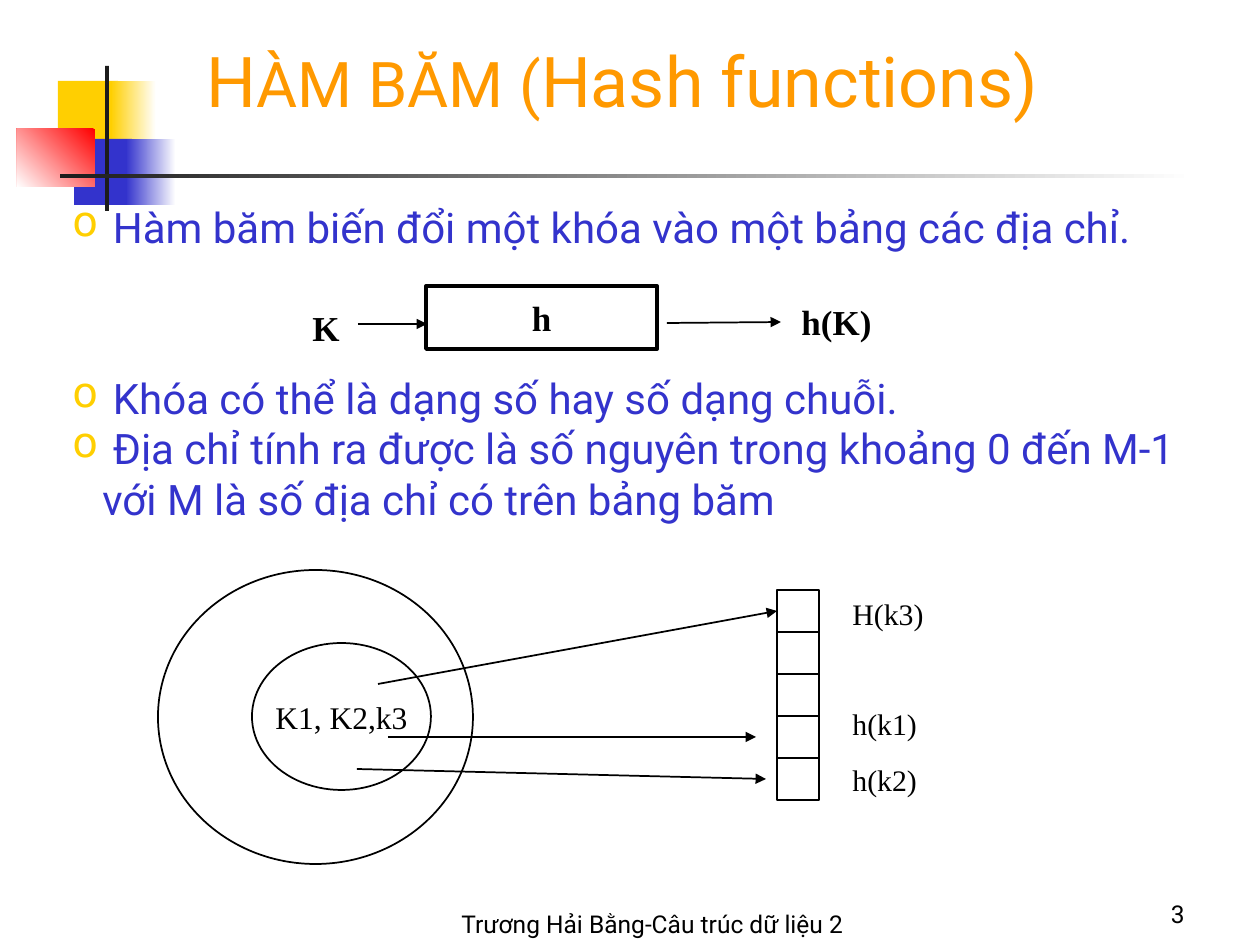
from pptx import Presentation
from pptx.dml.color import RGBColor
from pptx.enum.shapes import MSO_CONNECTOR, MSO_SHAPE
from pptx.enum.text import MSO_ANCHOR as ANCHOR, PP_ALIGN as ALIGN
from pptx.oxml.ns import qn
from pptx.util import Emu, Pt
from lxml.etree import SubElement

COLORS = {"yellow": "FFCF01", "blue": "3333CC", "red": "FF0000", "white": "FFFFFF",
          "dark": "1C1C1C", "orange": "FF9900", "black": "000000"}
SANS, SERIF = "Roboto", "Times New Roman"

ORNAMENT = [
    ((58, 81, 60, 66), ["yellow"], 0),
    ((111, 81, 45, 66), ["white", "yellow"], 180),
    ((74, 139, 58, 66), ["blue"], 0),
    ((126, 139, 50, 66), ["white", "blue"], 180),
    ((17, 129, 78, 58), ["red", "white"], 225),
    ((105, 66, 4, 145), ["dark"], 0),
    ((60, 174, 1134, 4), ["white", "dark"], 180),
]
TITLE = [("H", 40), ("ÀM BĂM (", 36), ("Hash functions)", 40)]
POINTS = [
    (" Hàm băm biến đổi một khóa vào một bảng các địa chỉ.", 0),
    (" Khóa có thể là dạng số hay số dạng chuỗi.", 69),
    (" Địa chỉ tính ra được là số nguyên trong khoảng 0 đến M-1 "
     "với M là số địa chỉ có trên bảng băm", 0),
]
ADDRESSES = [("H(k3)", 0), ("h(k1)", 42), ("h(k2)", 12)]
FLOW_ARROWS = [((358, 324), (427, 324)), ((667, 323), (781, 322))]
KEY_ARROWS = [((388, 737), (756, 737)), ((357, 769), (766, 779))]
K3_START = (378, 684)
TABLE_LEFT, TABLE_TOP, CELL, CELL_COUNT = 777, 590, 42, 5
HANGING = 30


def px(length):
    return Emu(round(length * 914400 / 126))


def color(name):
    return RGBColor.from_string(COLORS[name])


def add_outline(kind, box, weight):
    outline = slide.shapes.add_shape(kind, *map(px, box))
    outline.shadow.inherit = False
    outline.fill.background()
    outline.line.color.rgb = color("black")
    outline.line.width = Pt(weight)
    return outline


def add_ornament(box, fills, angle):
    block = slide.shapes.add_shape(MSO_SHAPE.RECTANGLE, *map(px, box))
    block.shadow.inherit = False
    block.line.fill.background()
    if len(fills) == 1:
        block.fill.solid()
        block.fill.fore_color.rgb = color(fills[0])
        return
    block.fill.gradient()
    block.fill.gradient_angle = angle
    for stop, name in zip(block.fill.gradient_stops, fills):
        stop.color.rgb = color(name)


def style(paragraph, size, font=SERIF, ink="black", bold=False, align=ALIGN.LEFT):
    paragraph.alignment = align
    paragraph.font.size = Pt(size)
    paragraph.font.name = font
    paragraph.font.bold = bold
    paragraph.font.color.rgb = color(ink)


def add_frame(box, anchor=ANCHOR.TOP):
    frame = slide.shapes.add_textbox(*map(px, box)).text_frame
    frame.word_wrap = True
    frame.vertical_anchor = anchor
    return frame


def add_label(box, text, size, anchor=ANCHOR.TOP, **look):
    paragraph = add_frame(box, anchor).paragraphs[0]
    paragraph.text = text
    style(paragraph, size, **look)


def fill_outline(outline, text, size, bold=False):
    frame = outline.text_frame
    frame.word_wrap = False
    frame.vertical_anchor = ANCHOR.MIDDLE
    frame.paragraphs[0].text = text
    style(frame.paragraphs[0], size, bold=bold, align=ALIGN.CENTER)


def add_list(box, items):
    frame = add_frame(box)
    for index, (text, gap) in enumerate(items):
        paragraph = frame.add_paragraph() if index else frame.paragraphs[0]
        paragraph.text = text
        paragraph.space_before = Pt(gap)
        yield paragraph


def add_bullet(paragraph):
    props = paragraph._p.get_or_add_pPr()
    props.set("marL", str(px(HANGING)))
    props.set("indent", str(-px(HANGING)))
    SubElement(SubElement(props, qn("a:buClr")), qn("a:srgbClr"), val=COLORS["yellow"])
    SubElement(props, qn("a:buChar"), char="o")


def add_arrow(start, end):
    arrow = slide.shapes.add_connector(MSO_CONNECTOR.STRAIGHT, *map(px, start + end))
    arrow.line.color.rgb = color("black")
    arrow.line.width = Pt(1)
    SubElement(arrow.line._get_or_add_ln(), qn("a:tailEnd"), type="triangle")
    SubElement(arrow._element.spPr, qn("a:effectLst"))
    return arrow


deck = Presentation()
deck.slide_width, deck.slide_height = px(1260), px(945)
slide = deck.slides.add_slide(deck.slide_layouts[6])

for box, fills, angle in ORNAMENT:
    add_ornament(box, fills, angle)

title = add_frame((87, 0, 1071, 158), ANCHOR.MIDDLE).paragraphs[0]
style(title, 40, SANS, "orange", align=ALIGN.CENTER)
for text, size in TITLE:
    run = title.add_run()
    run.text = text
    run.font.size = Pt(size)

hash_box = add_outline(MSO_SHAPE.RECTANGLE, (426, 286, 231, 63), 2.25)
fill_outline(hash_box, "h", 20, bold=True)
add_label((300, 300, 52, 55), "K", 20, bold=True)
add_label((789, 294, 110, 55), "h(K)", 20, bold=True)

for point in add_list((60, 195, 1155, 350), POINTS):
    add_bullet(point)
    style(point, 24, SANS, "blue")

add_outline(MSO_SHAPE.OVAL, (158, 570, 315, 294), 1)
keys = add_outline(MSO_SHAPE.OVAL, (252, 643, 179, 147), 1)
fill_outline(keys, "K1, K2,k3", 18)

cells = [add_outline(MSO_SHAPE.RECTANGLE, (TABLE_LEFT, TABLE_TOP + row * CELL, CELL, CELL), 0.75)
         for row in range(CELL_COUNT)]
for address in add_list((840, 590, 158, 212), ADDRESSES):
    style(address, 17)

for start, end in FLOW_ARROWS + KEY_ARROWS:
    add_arrow(start, end)
k3_arrow = add_arrow(K3_START, (TABLE_LEFT, TABLE_TOP + CELL // 2))
k3_arrow.end_connect(cells[0], 1)

add_label((393, 872, 519, 73), "Trương Hải Bằng-Câu trúc dữ liệu 2", 14,
          ANCHOR.BOTTOM, font=SANS, align=ALIGN.CENTER)
add_label((935, 872, 262, 63), "3", 14, ANCHOR.BOTTOM, font=SANS, align=ALIGN.RIGHT)

deck.save("out.pptx")
